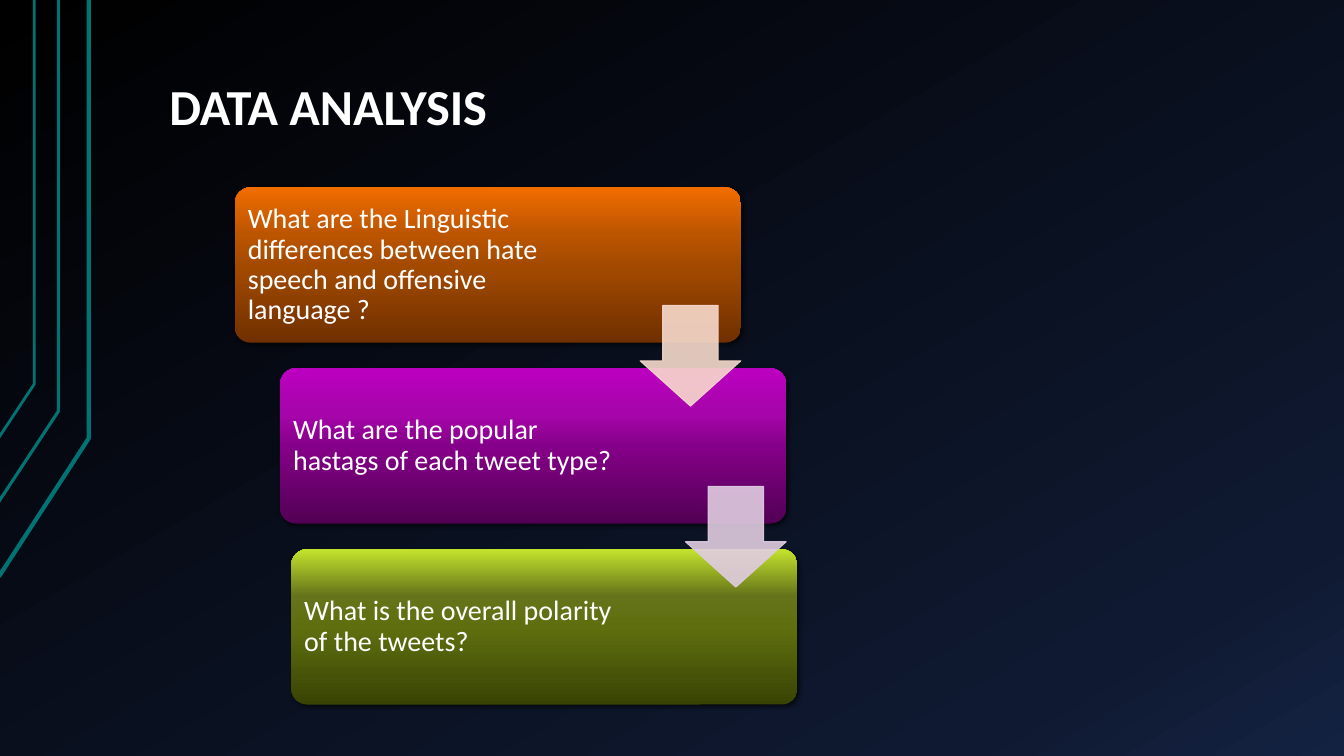
from dataclasses import dataclass

from lxml.etree import SubElement
from pptx import Presentation
from pptx.dml.color import RGBColor
from pptx.enum.shapes import MSO_SHAPE as Preset
from pptx.enum.text import MSO_ANCHOR as Anchor, MSO_AUTO_SIZE as AutoSize, PP_ALIGN as Align
from pptx.oxml.ns import qn
from pptx.util import Inches, Pt

WIDTH, HEIGHT = Inches(13.333), Inches(7.5)


@dataclass(frozen=True)
class Theme:
    font: str = "Calibri"
    title_size: int = 36
    body_size: int = 20
    text: str = "FFFFFF"
    rail: str = "007373"
    shadow: str = "000000"
    backdrop: tuple = ((0, "000000"), (85, "0F1931"), (100, "142242"))
    orange: tuple = ((0, "703000"), (50, "A44A00"), (70, "BC5500"), (100, "F26D00"))
    purple: tuple = ((0, "520054"), (50, "850088"), (70, "A505A9"), (100, "BC00C0"))
    green: tuple = ((0, "394404"), (50, "5F6F0F"), (70, "65741A"), (100, "C4E32D"))
    peach: str = "F7DACC"
    lilac: str = "E0CCE1"


THEME = Theme()

RAILS = (
    (-0.08, 76.27, 6.6, 58, 3),
    (-0.15, 66.53, 4.35, 54.4, 2.25),
    (-0.08, 57.87, 2.55, 50.8, 2),
)
QUESTIONS = (
    ("What are the Linguistic differences between hate speech and offensive language ?",
     17.48, 25.2, THEME.orange),
    ("What are the popular hastags of each tweet type?", 20.85, 26.18, THEME.purple),
    ("What is the overall polarity of the tweets?", 21.68, 26.18, THEME.green),
)
ARROW_COLOURS = (THEME.peach, THEME.lilac)
FIRST_ROW, ROW_PITCH = 24.8, 23.93
CARD_WIDTH, CARD_HEIGHT = 37.65, 20.53


def across(percent):
    return round(WIDTH * percent / 100)


def down(percent):
    return round(HEIGHT * percent / 100)


def area(left, top, width, height):
    return across(left), down(top), across(width), down(height)


def row_top(row):
    return FIRST_ROW + row * ROW_PITCH


def fill_gradient(fill, owner, stops, angle):
    fill.gradient()
    fill.gradient_angle = angle
    stop_list = owner.find(f".//{qn('a:gradFill')}/{qn('a:gsLst')}")
    for old_stop in list(stop_list):
        stop_list.remove(old_stop)
    for position, colour in stops:
        stop = SubElement(stop_list, qn("a:gs"), pos=str(position * 1000))
        SubElement(stop, qn("a:srgbClr"), val=colour)


def add_shadow(shape):
    shape.shadow.inherit = False
    effects = shape.element.spPr.find(qn("a:effectLst"))
    shadow = SubElement(effects, qn("a:outerShdw"), blurRad=str(Pt(3)), dist=str(Pt(2)),
                        dir="2700000", algn="ctr", rotWithShape="0")
    colour = SubElement(shadow, qn("a:srgbClr"), val=THEME.shadow)
    SubElement(colour, qn("a:alpha"), val="60000")


def write_text(frame, text, size, anchor, margins, bold=False):
    frame.word_wrap = True
    frame.auto_size = AutoSize.NONE
    frame.vertical_anchor = anchor
    frame.margin_left = frame.margin_right = Inches(margins[0])
    frame.margin_top = frame.margin_bottom = Inches(margins[1])
    para = frame.paragraphs[0]
    para.text = text
    para.alignment = Align.LEFT
    para.line_spacing = 0.9
    para.font.name = THEME.font
    para.font.size = Pt(size)
    para.font.bold = bold
    para.font.color.rgb = RGBColor.from_string(THEME.text)


def add_rail(page, end_x, end_y, bend_x, bend_y, weight):
    builder = page.shapes.build_freeform(across(end_x), down(end_y))
    builder.add_line_segments(
        [(across(bend_x), down(bend_y)), (across(bend_x), 0)], close=False)
    rail = builder.convert_to_shape()
    rail.shadow.inherit = False
    rail.fill.background()
    rail.line.color.rgb = RGBColor.from_string(THEME.rail)
    rail.line.width = Pt(weight)


def add_title(page, text):
    title = page.shapes.title
    title.left, title.top, title.width, title.height = area(11.63, -1.47, 88.2, 20.4)
    write_text(title.text_frame, text, THEME.title_size, Anchor.BOTTOM, (0.13, 0.07), bold=True)


def add_question(page, row, text, left, text_width, stops):
    top = row_top(row)
    card = page.shapes.add_shape(
        Preset.ROUNDED_RECTANGLE, *area(left, top, CARD_WIDTH, CARD_HEIGHT))
    card.adjustments[0] = 0.1
    fill_gradient(card.fill, card.element, stops, 90)
    card.line.fill.background()
    add_shadow(card)
    box = page.shapes.add_textbox(*area(left + 0.36, top + 0.6, text_width, 19.33))
    write_text(box.text_frame, text, THEME.body_size, Anchor.MIDDLE, (0.08, 0.08))


def add_arrow(page, row, card_left, colour):
    arrow = page.shapes.add_shape(
        Preset.DOWN_ARROW, *area(card_left + 30.15, row_top(row) + 15.6, 7.5, 13.33))
    arrow.adjustments[0] = 0.55
    arrow.adjustments[1] = 0.45
    arrow.shadow.inherit = False
    arrow.fill.solid()
    arrow.fill.fore_color.rgb = RGBColor.from_string(colour)
    arrow.line.color.rgb = RGBColor.from_string(colour)
    arrow.line.width = Pt(0.75)
    for paint in arrow.element.spPr.iter(qn("a:srgbClr")):
        SubElement(paint, qn("a:alpha"), val="90000")


def main():
    deck = Presentation()
    deck.slide_width, deck.slide_height = WIDTH, HEIGHT
    page = deck.slides.add_slide(deck.slide_layouts[5])
    fill_gradient(page.background.fill, page.element, THEME.backdrop, 300)
    for rail in RAILS:
        add_rail(page, *rail)
    add_title(page, "DATA ANALYSIS")
    for row, question in enumerate(QUESTIONS):
        add_question(page, row, *question)
    for row, colour in enumerate(ARROW_COLOURS):
        add_arrow(page, row, QUESTIONS[row][1], colour)
    deck.save("out.pptx")


if __name__ == "__main__":
    main()
